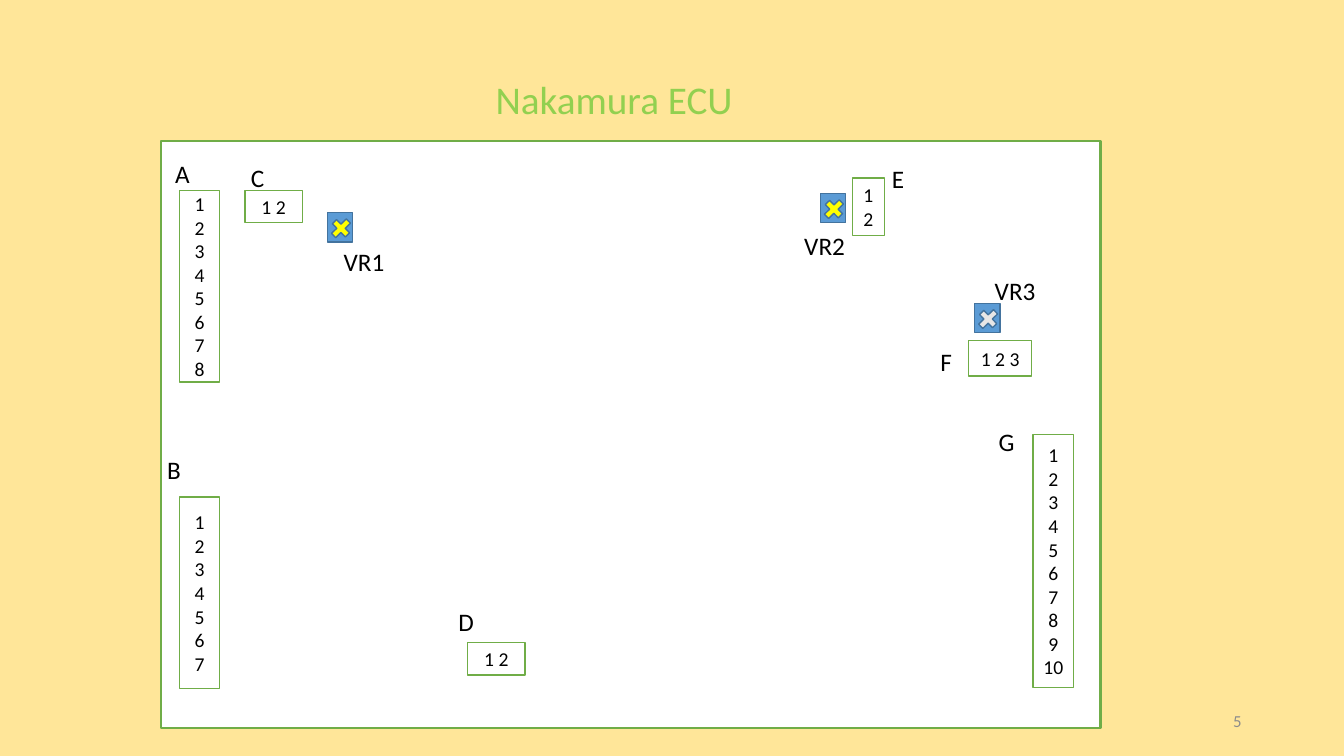
from dataclasses import dataclass

from pptx import Presentation
from pptx.dml.color import RGBColor
from pptx.enum import shapes, text
from pptx.util import Emu, Inches, Pt

COLUMNS, ROWS = 80, 45
SLIDE_WIDTH, SLIDE_HEIGHT = Inches(13.333), Inches(7.5)
FONT = "Calibri"
GREEN, BLUE, NAVY = "70AD47", "5B9BD5", "43739E"
YELLOW, GREY, WHITE, BLACK = "FFFF00", "E7E6E6", "FFFFFF", "000000"
RECT, PLUS = shapes.MSO_SHAPE.RECTANGLE, shapes.MSO_SHAPE.MATH_PLUS


@dataclass(frozen=True)
class Area:
    """A place on the slide, in grid columns and rows."""
    column: float
    row: float
    columns: float
    rows: float

    def emu(self) -> list[Emu]:
        across, down = SLIDE_WIDTH / COLUMNS, SLIDE_HEIGHT / ROWS
        return [Emu(round(length)) for length in (
            self.column * across, self.row * down,
            self.columns * across, self.rows * down)]


@dataclass(frozen=True)
class Connector:
    name: str
    name_column: float
    name_row: float
    body: Area
    pins: list[str]


@dataclass(frozen=True)
class Trimmer:
    name: str
    name_column: float
    name_row: float
    column: float
    row: float
    cross: str


def numbered(count: int) -> list[str]:
    return [str(pin) for pin in range(1, count + 1)]


CONNECTORS = [
    Connector("A", 9.84, 9.12, Area(10.68, 11.34, 2.4, 11.4), numbered(8)),
    Connector("B", 9.36, 26.76, Area(10.68, 29.58, 2.4, 11.4), numbered(7)),
    Connector("C", 14.34, 9.36, Area(14.58, 11.34, 3.42, 1.92), ["1 2"]),
    Connector("D", 26.7, 35.82, Area(27.84, 38.25, 3.42, 1.92), ["1 2"]),
    Connector("E", 52.5, 9.42, Area(50.73, 10.6, 1.92, 3.42), numbered(2)),
    Connector("F", 55.38, 20.34, Area(57.66, 20.28, 3.75, 2.1), ["1 2 3"]),
    Connector("G", 58.86, 25.08, Area(61.5, 25.86, 2.4, 15.06), numbered(10)),
]
TRIMMERS = [
    Trimmer("VR1", 19.86, 14.34, 19.5, 12.66, YELLOW),
    Trimmer("VR2", 47.28, 13.44, 48.84, 11.52, YELLOW),
    Trimmer("VR3", 58.62, 16.08, 58.02, 18.06, GREY),
]


def rgb(colour: str) -> RGBColor:
    return RGBColor.from_string(colour)


def write(frame, lines: list[str], *, size: float = 18, colour: str = BLACK,
          align=text.PP_ALIGN.LEFT, anchor=text.MSO_ANCHOR.TOP) -> None:
    frame.word_wrap = True
    frame.vertical_anchor = anchor
    for index, line in enumerate(lines):
        paragraph = frame.add_paragraph() if index else frame.paragraphs[0]
        paragraph.alignment = align
        run = paragraph.add_run()
        run.text = line
        run.font.name, run.font.size = FONT, Pt(size)
        run.font.color.rgb = rgb(colour)


def add_label(slide, area: Area, label: str, **style) -> None:
    write(slide.shapes.add_textbox(*area.emu()).text_frame, [label], **style)


def add_block(slide, area: Area, *, kind=RECT, fill: str = WHITE,
              line: str = GREEN, weight: float = 1, turn: float = 0):
    block = slide.shapes.add_shape(kind, *area.emu())
    block.shadow.inherit = False
    block.fill.solid()
    block.fill.fore_color.rgb = rgb(fill)
    block.line.color.rgb = rgb(line)
    block.line.width = Pt(weight)
    block.rotation = turn
    return block


def add_pin_header(slide, connector: Connector) -> None:
    frame = add_block(slide, connector.body).text_frame
    frame.margin_left = frame.margin_right = Inches(0.04)
    frame.margin_top = frame.margin_bottom = Inches(0.04)
    write(frame, connector.pins, size=14, align=text.PP_ALIGN.CENTER,
          anchor=text.MSO_ANCHOR.MIDDLE)
    add_label(slide, Area(connector.name_column, connector.name_row, 2.64, 2.4),
              connector.name)


def add_trimmer(slide, trimmer: Trimmer) -> None:
    add_block(slide, Area(trimmer.column, trimmer.row, 1.5, 1.74),
              fill=BLUE, line=NAVY)
    add_block(slide, Area(trimmer.column - 0.04, trimmer.row + 0.18, 1.68, 1.5),
              kind=PLUS, fill=trimmer.cross, line=NAVY, turn=315.5)
    add_label(slide, Area(trimmer.name_column, trimmer.name_row, 6.9, 2.4),
              trimmer.name)


def main() -> None:
    deck = Presentation()
    deck.slide_width, deck.slide_height = SLIDE_WIDTH, SLIDE_HEIGHT
    slide = deck.slides.add_slide(deck.slide_layouts[6])
    slide.background.fill.solid()
    slide.background.fill.fore_color.rgb = rgb("FFE699")

    add_label(slide, Area(56.5, 41.7, 18, 2.4), "5", size=12, colour="8C8C8C",
              align=text.PP_ALIGN.RIGHT, anchor=text.MSO_ANCHOR.MIDDLE)
    add_block(slide, Area(9.6, 8.4, 55.92, 34.92), weight=1.75)
    add_label(slide, Area(28.92, 4.2, 19.14, 3.42), "Nakamura ECU",
              size=28, colour="92D050")
    for connector in CONNECTORS:
        add_pin_header(slide, connector)
    for trimmer in TRIMMERS:
        add_trimmer(slide, trimmer)
    deck.save("out.pptx")


if __name__ == "__main__":
    main()
